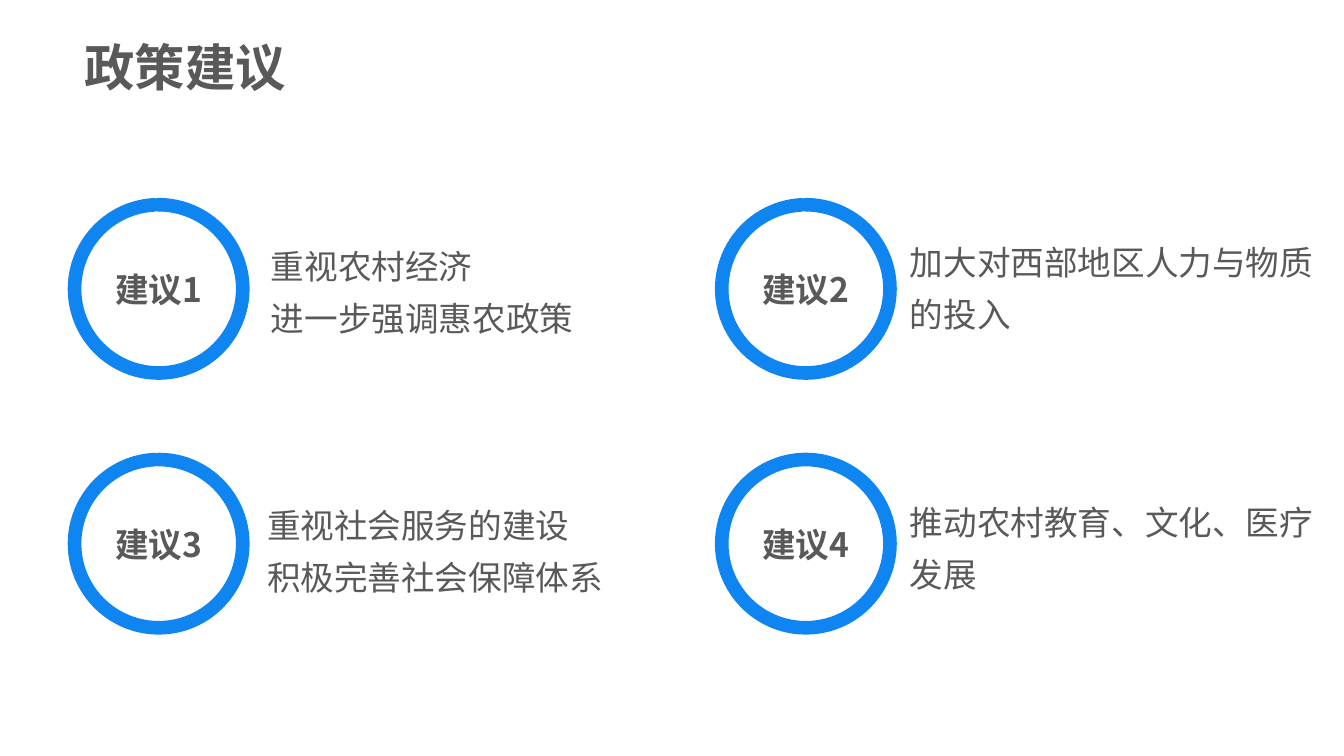
from lxml.etree import SubElement
from pptx import Presentation
from pptx.dml.color import RGBColor
from pptx.enum.shapes import MSO_SHAPE
from pptx.enum.text import MSO_ANCHOR, MSO_AUTO_SIZE, PP_ALIGN
from pptx.oxml.ns import qn
from pptx.util import Cm, Pt


def color(value):
    return RGBColor.from_string(value)


def write(tf, text, font, size=24, fill="595959", bold=False,
          align=PP_ALIGN.LEFT, spacing=1.0, anchor=MSO_ANCHOR.MIDDLE,
          insets=(0, 0, 0, 0)):
    tf.word_wrap = True
    tf.vertical_anchor = anchor
    tf.margin_left, tf.margin_top, tf.margin_right, tf.margin_bottom = map(Cm, insets)
    for i, line in enumerate(text.split("\n")):
        p = tf.add_paragraph() if i else tf.paragraphs[0]
        p.alignment = align
        p.line_spacing = spacing
        r = p.add_run()
        r.text = line
        r.font.size = Pt(size)
        r.font.bold = bold
        r.font.name = font
        r.font.color.rgb = color(fill)
        SubElement(r.font._element, qn("a:ea")).set("typeface", font)


class Deck:
    font = "Noto Sans CJK SC"
    accent = "0F85F1"
    outline = "434F5A"

    def __init__(self):
        self.prs = Presentation()
        self.prs.slide_width, self.prs.slide_height = Cm(33.87), Cm(19.05)
        self.slide = self.prs.slides.add_slide(self.prs.slide_layouts[6])

    def shape(self, kind, left, top, size, line, width):
        sp = self.slide.shapes.add_shape(kind, Cm(left), Cm(top), Cm(size), Cm(size))
        sp.shadow.inherit = False
        sp.fill.background()
        sp.line.color.rgb = color(line)
        sp.line.width = Pt(width)
        return sp

    def ring(self, left, top, size, label, end):
        sp = self.shape(MSO_SHAPE.OVAL, left, top, size, self.outline, 4.5)
        rgb = sp.line._ln.find(".//" + qn("a:srgbClr"))
        SubElement(rgb, qn("a:alpha")).set("val", "16000")
        write(sp.text_frame, label, self.font, bold=True, align=PP_ALIGN.CENTER)
        arc = self.shape(MSO_SHAPE.ARC, left, top, size, self.accent, 9.75)
        arc.adjustments[0] = 162
        arc.adjustments[1] = end
        arc.line._ln.set("cap", "rnd")

    def text(self, left, top, width, height, text, grow=False, **fmt):
        box = self.slide.shapes.add_textbox(Cm(left), Cm(top), Cm(width), Cm(height))
        write(box.text_frame, text, self.font, **fmt)
        if grow:
            box.text_frame.auto_size = MSO_AUTO_SIZE.SHAPE_TO_FIT_TEXT


def main():
    deck = Deck()
    columns, rows, ring_size = (1.88, 18.19), (5.16, 11.58), 4.24
    advice = [
        ("重视农村经济\n进一步强调惠农政策", 6.73, 4.8, 4.83, 160.13),
        ("加大对西部地区人力与物质的投入", 22.83, 4.98, 4.24, 160.27),
        ("重视社会服务的建设\n积极完善社会保障体系", 6.63, 11.86, 3.76, 160.39),
        ("推动农村教育、文化、医疗发展", 22.83, 10.9, 5.51, 161.54),
    ]
    deck.text(1.88, 0.03, 12.85, 2.57, "政策建议", grow=True, size=36, bold=True,
              spacing=1.5, anchor=MSO_ANCHOR.TOP, insets=(0.25, 0.13, 0.25, 0.13))
    for i, (body, left, top, height, end) in enumerate(advice):
        row, column = divmod(i, 2)
        deck.ring(columns[column], rows[row], ring_size, f"建议{i + 1}", end)
        deck.text(left, top, 10.44, height, body, spacing=1.3, insets=(0.1, 0, 0, 0))
    deck.prs.save("out.pptx")


if __name__ == "__main__":
    main()
